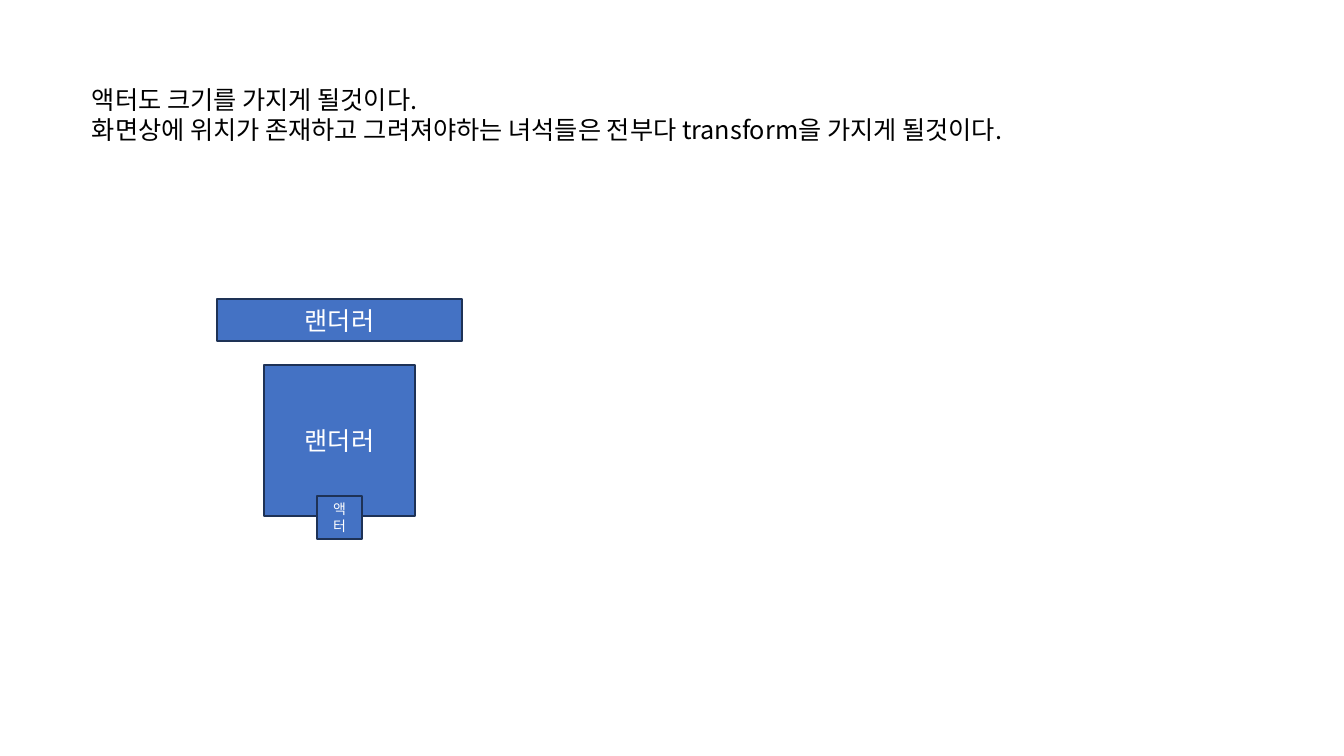
from lxml.etree import SubElement
from pptx import Presentation
from pptx.dml.color import RGBColor
from pptx.enum.shapes import MSO_SHAPE as Shape
from pptx.enum.text import MSO_ANCHOR as Anchor, MSO_AUTO_SIZE as Auto, PP_ALIGN as Align
from pptx.oxml.ns import qn
from pptx.util import Pt

SCALE = 914400 / 100.8
FACE = "Noto Sans CJK KR"
BLUE, NAVY, WHITE, BLACK = "4472C4", "1E3256", "FFFFFF", "000000"
NOTES = [
    "액터도 크기를 가지게 될것이다.",
    "화면상에 위치가 존재하고 그려져야하는 녀석들은 전부다 transform을 가지게 될것이다.",
]


def px(*nums):
    return [round(num * SCALE) for num in nums]


def color(code):
    return RGBColor.from_string(code)


def write(frame, lines, size, tint, align):
    for i, line in enumerate(lines):
        para = frame.add_paragraph() if i else frame.paragraphs[0]
        para.alignment = align
        run = para.add_run()
        run.text = line
        for key, value in {"name": FACE, "size": Pt(size)}.items():
            setattr(run.font, key, value)
        run.font.color.rgb = color(tint)
        SubElement(run._r.get_or_add_rPr(), qn("a:ea"), typeface=FACE)


def add_notes(slide, box):
    frame = slide.shapes.add_textbox(*px(*box)).text_frame
    for key, value in {"word_wrap": False, "auto_size": Auto.SHAPE_TO_FIT_TEXT}.items():
        setattr(frame, key, value)
    write(frame, NOTES, 18, BLACK, Align.LEFT)


def add_block(group, box, label, size):
    block = group.shapes.add_shape(Shape.RECTANGLE, *px(*box))
    block.shadow.inherit = False
    block.fill.solid()
    block.fill.fore_color.rgb = color(BLUE)
    block.line.color.rgb = color(NAVY)
    block.line.width = Pt(1)
    for key, value in {"word_wrap": True, "vertical_anchor": Anchor.MIDDLE}.items():
        setattr(block.text_frame, key, value)
    write(block.text_frame, [label], size, WHITE, Align.CENTER)


def add_actor(slide, box):
    left, top, width, height = box
    group = slide.shapes.add_group_shape()
    parts = [
        (66, 151, 151, "랜더러", 18),
        (0, 245, 42, "랜더러", 18),
        (height - 43, 45, 43, "액터", 10),
    ]
    for drop, wide, high, label, size in parts:
        place = (left + (width - wide) / 2, top + drop, wide, high)
        add_block(group, place, label, size)


def main():
    deck = Presentation()
    deck.slide_width, deck.slide_height = px(1344, 756)
    slide = deck.slides.add_slide(deck.slide_layouts[6])
    add_actor(slide, (217, 299, 245, 240))
    add_notes(slide, (82, 79, 1018, 72))
    deck.save("out.pptx")


if __name__ == "__main__":
    main()
